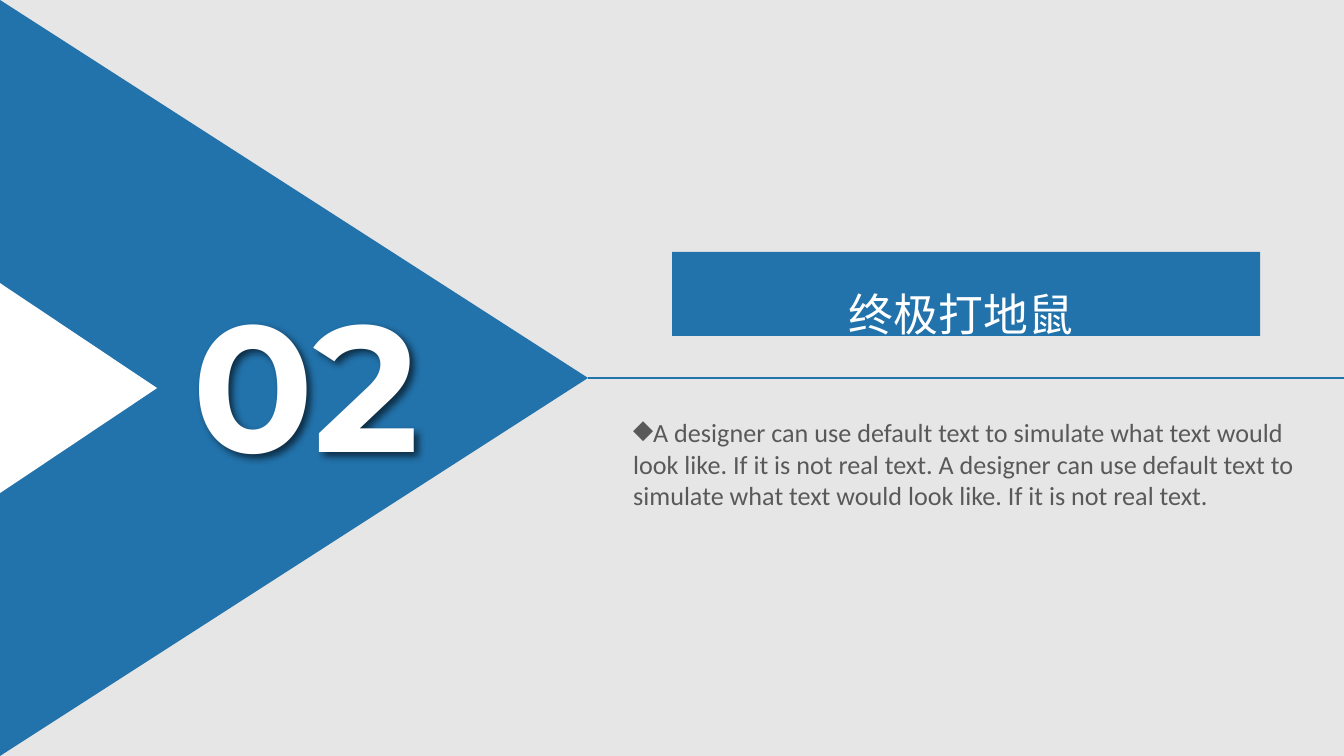
from lxml.etree import SubElement
from pptx import Presentation
from pptx.dml.color import RGBColor
from pptx.enum.shapes import MSO_CONNECTOR, MSO_SHAPE
from pptx.enum.text import MSO_AUTO_SIZE, PP_ALIGN
from pptx.oxml.ns import qn
from pptx.util import Inches, Pt

COLORS = {"background": "E7E6E6", "blue": "2272AB", "white": "FFFFFF", "gray": "595959"}
COLUMNS, ROWS = 16, 9
UNIT = Inches(10) // COLUMNS  # the grid cells are square


def rgb(name):
    return RGBColor.from_string(COLORS[name])


def units(*cells):
    return [round(c * UNIT) for c in cells]


class SectionSlide:
    """Places elements on a slide, in columns and rows of the grid."""

    def __init__(self, prs):
        self.s = prs.slides.add_slide(prs.slide_layouts[6])
        fill = self.s.background.fill
        fill.solid()
        fill.fore_color.rgb = rgb("background")

    def paint(self, sp, color):
        sp.shadow.inherit = False
        sp.fill.solid()
        sp.fill.fore_color.rgb = rgb(color)
        sp.line.fill.background()

    def pointer(self, x, y, w, h, color):
        """Triangle pointing right that covers the given area once turned."""
        box = units(x + (w - h) / 2, y + (h - w) / 2, h, w)
        sp = self.s.shapes.add_shape(MSO_SHAPE.ISOSCELES_TRIANGLE, *box)
        sp.rotation = 90
        self.paint(sp, color)

    def line(self, x1, y1, x2, y2, color, width):
        sp = self.s.shapes.add_connector(MSO_CONNECTOR.STRAIGHT, *units(x1, y1, x2, y2))
        sp.line.color.rgb = rgb(color)
        sp.line.width = Pt(width)
        SubElement(sp._element.spPr, qn("a:effectLst"))

    def outline(self, points, color, shapes):
        start, *rest = points
        builder = shapes.build_freeform(*start, scale=UNIT)
        builder.add_line_segments(rest, close=True)
        self.paint(builder.convert_to_shape(), color)

    def text(self, x, y, w, h, text, font, size, color, bold=False,
             align=PP_ALIGN.LEFT, bullet=None, shapes=None):
        sp = (shapes or self.s.shapes).add_textbox(*units(x, y, w, h))
        tf = sp.text_frame
        tf.word_wrap = True
        tf.auto_size = MSO_AUTO_SIZE.SHAPE_TO_FIT_TEXT
        p = tf.paragraphs[0]
        p.text = text
        p.alignment = align
        f = p.font
        f.name, f.size, f.bold = font, Pt(size), bold
        f.color.rgb = rgb(color)
        SubElement(f._element, qn("a:ea"), typeface=font)
        if bullet:
            pPr = p._p.get_or_add_pPr()
            mark = pPr.makeelement(qn("a:buChar"), {"char": bullet})
            pPr.insert(0, mark)
        return sp

    def shadow(self, sp, distance, blur, alpha):
        effects = SubElement(sp._element.spPr, qn("a:effectLst"))
        outer = SubElement(effects, qn("a:outerShdw"), blurRad=str(Pt(blur)),
                           dist=str(Pt(distance)), dir="2700000", algn="tl")
        black = SubElement(outer, qn("a:srgbClr"), val="000000")
        SubElement(black, qn("a:alpha"), val=str(alpha * 1000))


def main():
    prs = Presentation()
    prs.slide_width, prs.slide_height = units(COLUMNS, ROWS)
    slide = SectionSlide(prs)

    slide.pointer(0, 0, 7, ROWS, "blue")
    slide.pointer(0, 3.37, 1.87, 2.5, "white")
    number = slide.text(2.13, 3.17, 3.25, 2.75, "02", "Montserrat", 96, "white", bold=True)
    slide.shadow(number, distance=3, blur=4, alpha=60)
    slide.line(7, ROWS / 2, COLUMNS, ROWS / 2, "blue", 1.5)

    banner = slide.s.shapes.add_group_shape().shapes
    top, bottom = 3.39, 4.19
    slide.outline([(8.3, top), (8.69, top), (8.78, 3.57), (8.93, top), (14.67, top),
                   (14.8, 3.55), (14.82, bottom), (11.52, bottom), (11.46, 3.98),
                   (11.36, bottom), (8, 4.16)], "blue", banner)
    slide.text(8, 3.34, 6.88, 0.8, "终极打地鼠", "Noto Sans CJK SC", 24, "white",
               align=PP_ALIGN.CENTER, shapes=banner)

    sentences = ("A designer can use default text to simulate what text would look like. "
                 "If it is not real text.")
    slide.text(7.38, 4.88, 8.5, 1.66, f"{sentences} {sentences}", "Calibri", 14, "gray",
               bullet="◆")
    prs.save("out.pptx")


if __name__ == "__main__":
    main()
